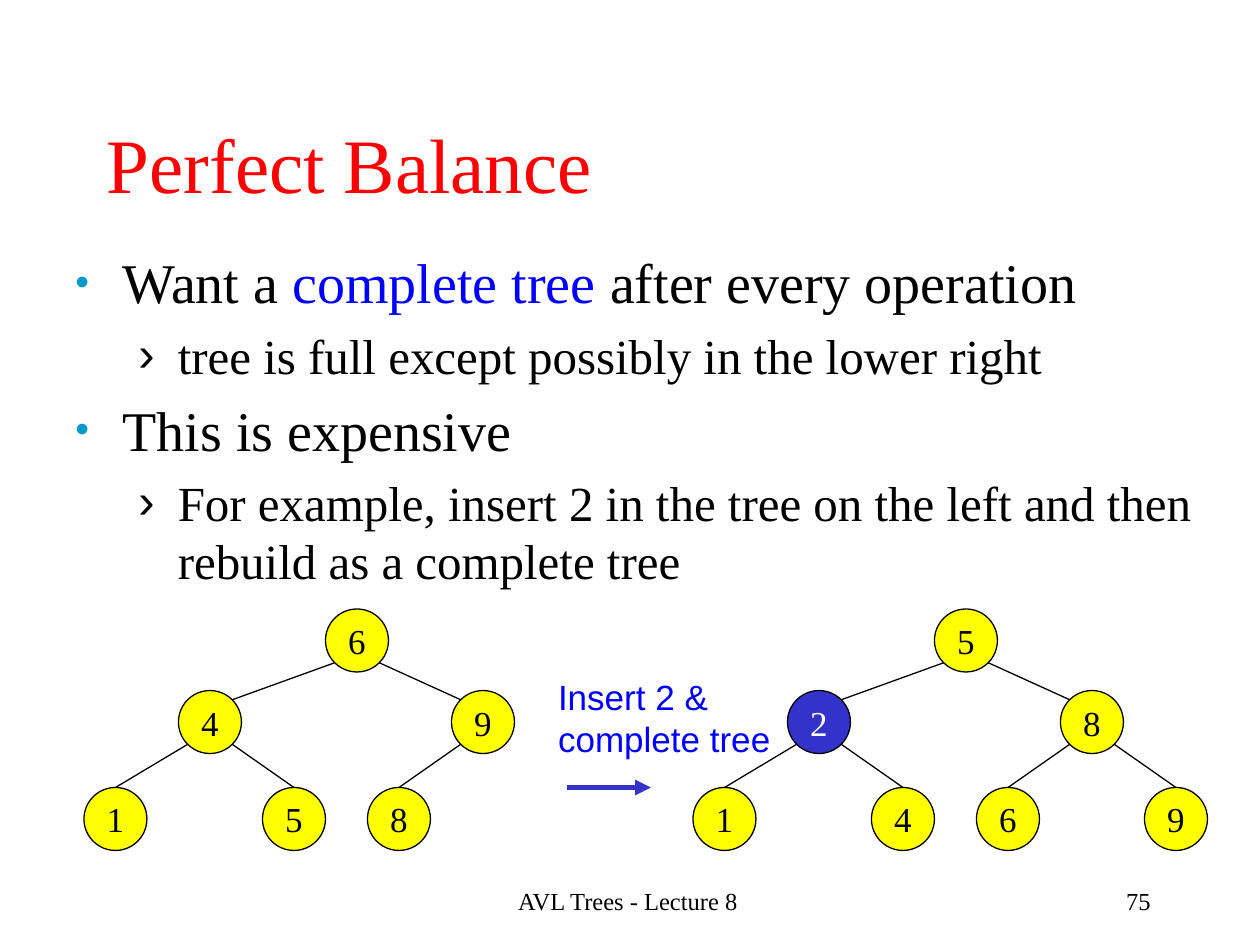
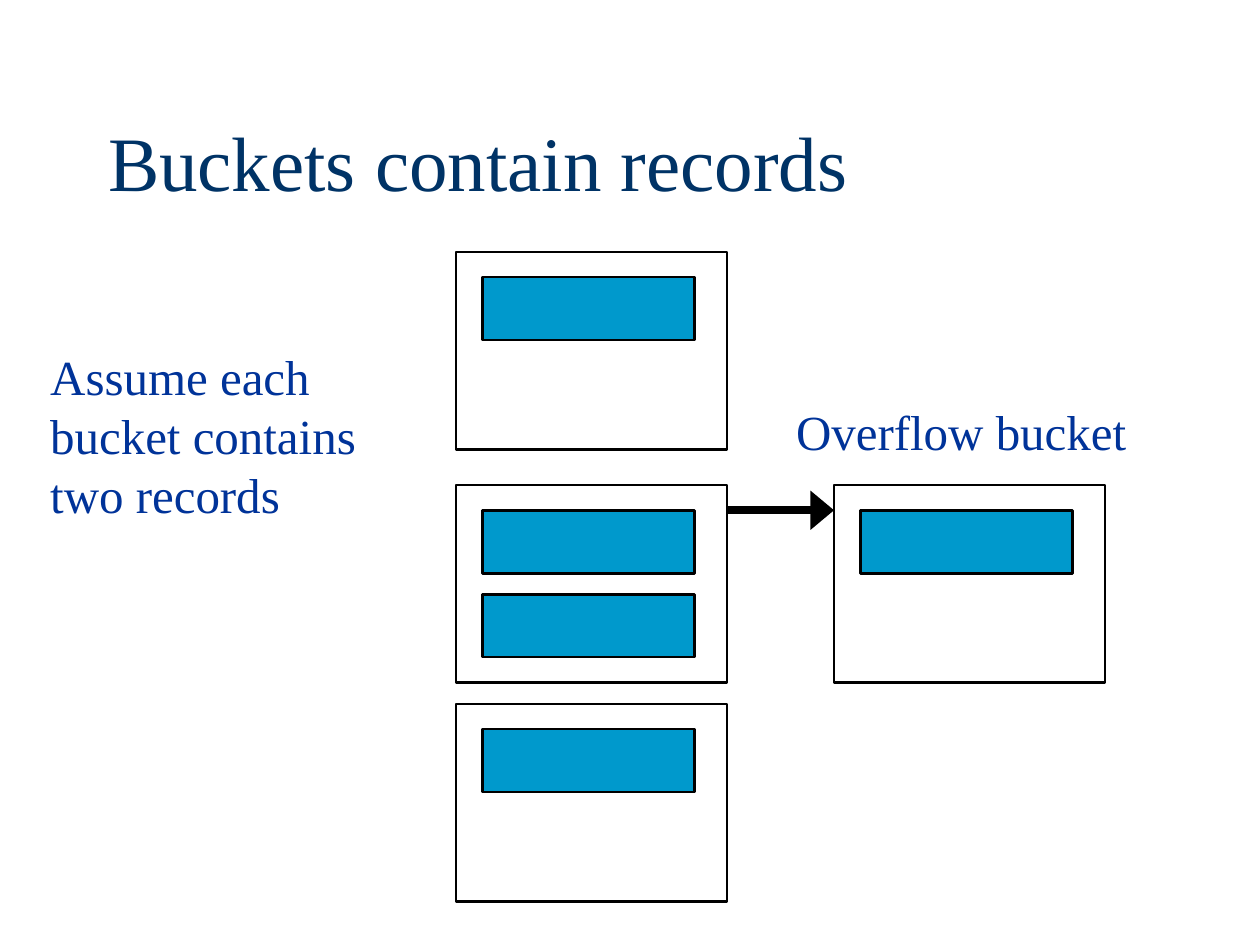
from dataclasses import dataclass
from lxml.etree import SubElement
from pptx import Presentation
from pptx.dml.color import RGBColor as RGB
from pptx.enum.shapes import MSO_CONNECTOR as CXN, MSO_SHAPE as SHP
from pptx.enum.text import MSO_ANCHOR as ANC, MSO_AUTO_SIZE as AUTO, PP_ALIGN as AL
from pptx.oxml.ns import qn
from pptx.util import Pt


@dataclass(frozen=True)
class Theme:
    serif: str = "Times New Roman"
    sans: str = "Arial"
    black: str = "000000"
    white: str = "FFFFFF"
    red: str = "FF0000"
    blue: str = "0000FF"
    navy: str = "003366"
    label: str = "003399"
    accent: str = "0099CC"
    yellow: str = "FFFF00"
    indigo: str = "3333CC"
    title: int = 44
    body: int = 32
    sub: int = 28
    node: int = 20
    footer: int = 14


T = Theme()

BALANCE_TITLE = "Perfect Balance"
BULLETS = [
    (0, [("Want a ", T.black), ("complete tree", T.blue), (" after every operation", T.black)]),
    (1, [("tree is full except possibly in the lower right", T.black)]),
    (0, [("This is expensive", T.black)]),
    (1, [("For example, insert 2 in the tree on the left and then rebuild as a complete tree", T.black)]),
]
LEVELS = [
    dict(size=T.body, margin=27, indent=-27, char="•", color=T.accent, pct=70),
    dict(size=T.sub, margin=58.5, indent=-22.5, char="›", color=T.black, pct=100),
]
INSERT_NOTE = ["Insert 2 &", "complete tree"]
FOOTERS = [("AVL Trees - Lecture 8", 244.8, 228, AL.CENTER), ("75", 514.8, 149.8, AL.RIGHT)]

SLOTS = [(186, 348), (102, 394.6), (258, 394.6), (48, 450), (150, 450), (210, 450), (306, 450)]
NODE = 36
TREES = [(0, "649158"), (348, "5281469")]
INSERTED = (348, 1)

BUCKETS_TITLE = "Buckets contain records"
ASSUMPTION = ["Assume each", "bucket contains", "two records"]
OVERFLOW = ["Overflow bucket"]
MAIN_X, OVERFLOW_X = 260.6, 476.6
BUCKETS = [(MAIN_X, 144, 1), (MAIN_X, 277.2, 2), (MAIN_X, 402.2, 1), (OVERFLOW_X, 277.2, 1)]
BUCKET_W, BUCKET_H = 154.8, 113
RECORD_W, RECORD_H, RECORD_PITCH = 121.2, 36, 48
PAD_X, PAD_Y = 15.2, 14.4


def add_run(p, text, size, color, font=T.serif):
    r = p.add_run()
    r.text = text
    r.font.size, r.font.name = Pt(size), font
    r.font.color.rgb = RGB.from_string(color)


def add_text(s, box, lines, size, color, font=T.serif, align=AL.LEFT, anchor=ANC.TOP, wrap=True):
    tf = s.shapes.add_textbox(*map(Pt, box)).text_frame
    tf.word_wrap, tf.vertical_anchor = wrap, anchor
    tf.auto_size = AUTO.NONE if wrap else AUTO.SHAPE_TO_FIT_TEXT
    for i, line in enumerate(lines):
        p = tf.add_paragraph() if i else tf.paragraphs[0]
        p.alignment = align
        add_run(p, line, size, color, font)


def add_title(s, text, x, y, color):
    add_text(s, (x, y, 612, 90), [text], T.title, color, anchor=ANC.MIDDLE)


def add_preset(shapes, kind, box, fill, width):
    sp = shapes.add_shape(kind, *map(Pt, box))
    sp.shadow.inherit = False
    if fill:
        sp.fill.solid()
        sp.fill.fore_color.rgb = RGB.from_string(fill)
    else:
        sp.fill.background()
    sp.line.color.rgb = RGB.from_string(T.black)
    sp.line.width = Pt(width)
    return sp


def add_line(s, start, end, color=T.black, width=0.75, head=None):
    c = s.shapes.add_connector(CXN.STRAIGHT, *map(Pt, (*start, *end)))
    c.line.color.rgb = RGB.from_string(color)
    c.line.width = Pt(width)
    if head:
        SubElement(c.line._get_or_add_ln(), qn("a:tailEnd"), type="triangle", w=head)
    SubElement(c._element.spPr, qn("a:effectLst"))
    return c


def add_bullets(s):
    tf = s.shapes.add_textbox(Pt(36), Pt(138.2), Pt(666), Pt(216)).text_frame
    tf.word_wrap = True
    for i, (level, runs) in enumerate(BULLETS):
        style = LEVELS[level]
        p = tf.add_paragraph() if i else tf.paragraphs[0]
        p.level = level
        if i:
            p.space_before = Pt(style["size"] * 0.2)
        pPr = p._p.get_or_add_pPr()
        pPr.set("marL", str(Pt(style["margin"])))
        pPr.set("indent", str(Pt(style["indent"])))
        SubElement(SubElement(pPr, qn("a:buClr")), qn("a:srgbClr"), val=style["color"])
        SubElement(pPr, qn("a:buSzPct"), val=str(style["pct"] * 1000))
        SubElement(pPr, qn("a:buFont"), typeface=T.sans)
        SubElement(pPr, qn("a:buChar"), char=style["char"])
        for text, color in runs:
            add_run(p, text, style["size"], color)


def add_tree(s, dx, keys):
    nodes = []
    for i, (key, (x, y)) in enumerate(zip(keys, SLOTS)):
        new = (dx, i) == INSERTED
        sp = add_preset(s.shapes, SHP.OVAL, (x + dx, y, NODE, NODE), T.indigo if new else T.yellow, 0.75)
        tf = sp.text_frame
        tf.word_wrap, tf.vertical_anchor = False, ANC.MIDDLE
        p = tf.paragraphs[0]
        p.alignment = AL.CENTER
        add_run(p, key, T.node, T.white if new else T.black)
        nodes.append(sp)
    half = NODE / 2
    diag = half * 0.5 ** 0.5
    centers = [(x + dx + half, y + half) for x, y in SLOTS]
    for child in range(1, len(keys)):
        parent = (child - 1) // 2
        side = -1 if child % 2 else 1
        (px, py), (cx, cy) = centers[parent], centers[child]
        start = (px + side * diag, py + diag)
        if parent:
            add_line(s, start, (cx, cy - half)).end_connect(nodes[child], 0)
        else:
            add_line(s, start, (cx - side * diag, cy - diag))


def build_balance(s):
    for text, x, w, align in FOOTERS:
        add_text(s, (x, 502.6, w, 36), [text], T.footer, T.black, align=align)
    add_title(s, BALANCE_TITLE, 54, 48.2, T.red)
    add_bullets(s)
    add_text(s, (311.8, 382.3, 144, 55.4), INSERT_NOTE, T.node, T.blue, T.sans, wrap=False)
    for dx, keys in TREES:
        add_tree(s, dx, keys)
    add_line(s, (324, 450), (372, 450), T.indigo, 3, head="med")


def build_buckets(s):
    add_title(s, BUCKETS_TITLE, 54.7, 46.8, T.navy)
    for x, y, records in BUCKETS:
        shapes = s.shapes.add_group_shape().shapes
        for i in range(records):
            box = (x + PAD_X, y + PAD_Y + i * RECORD_PITCH, RECORD_W, RECORD_H)
            add_preset(shapes, SHP.RECTANGLE, box, T.accent, 1.5)
        add_preset(shapes, SHP.RECTANGLE, (x, y, BUCKET_W, BUCKET_H), None, 1.5)
    arrow_y = BUCKETS[1][1] + PAD_Y
    add_line(s, (MAIN_X + BUCKET_W, arrow_y), (OVERFLOW_X, arrow_y), width=4.5, head="lg")
    add_text(s, (21.6, 194.4, 209.5, 108), ASSUMPTION, T.sub, T.label, wrap=False)
    add_text(s, (447.8, 226.1, 215.3, 41), OVERFLOW, T.sub, T.label, wrap=False)


def main():
    prs = Presentation()
    prs.slide_width, prs.slide_height = Pt(720), Pt(540)
    for build in (build_balance, build_buckets):
        build(prs.slides.add_slide(prs.slide_layouts[6]))
    prs.save("out.pptx")


if __name__ == "__main__":
    main()
